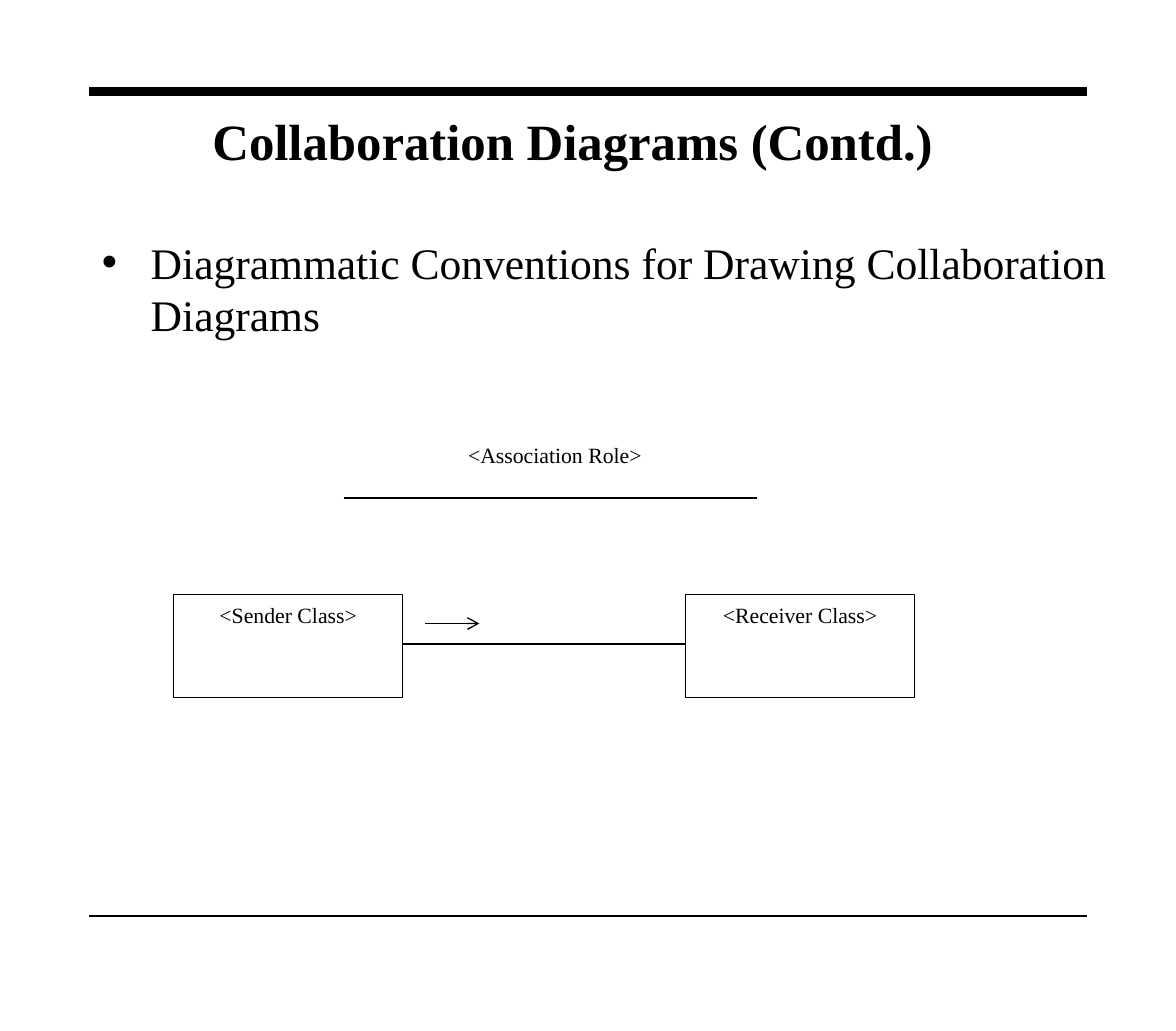
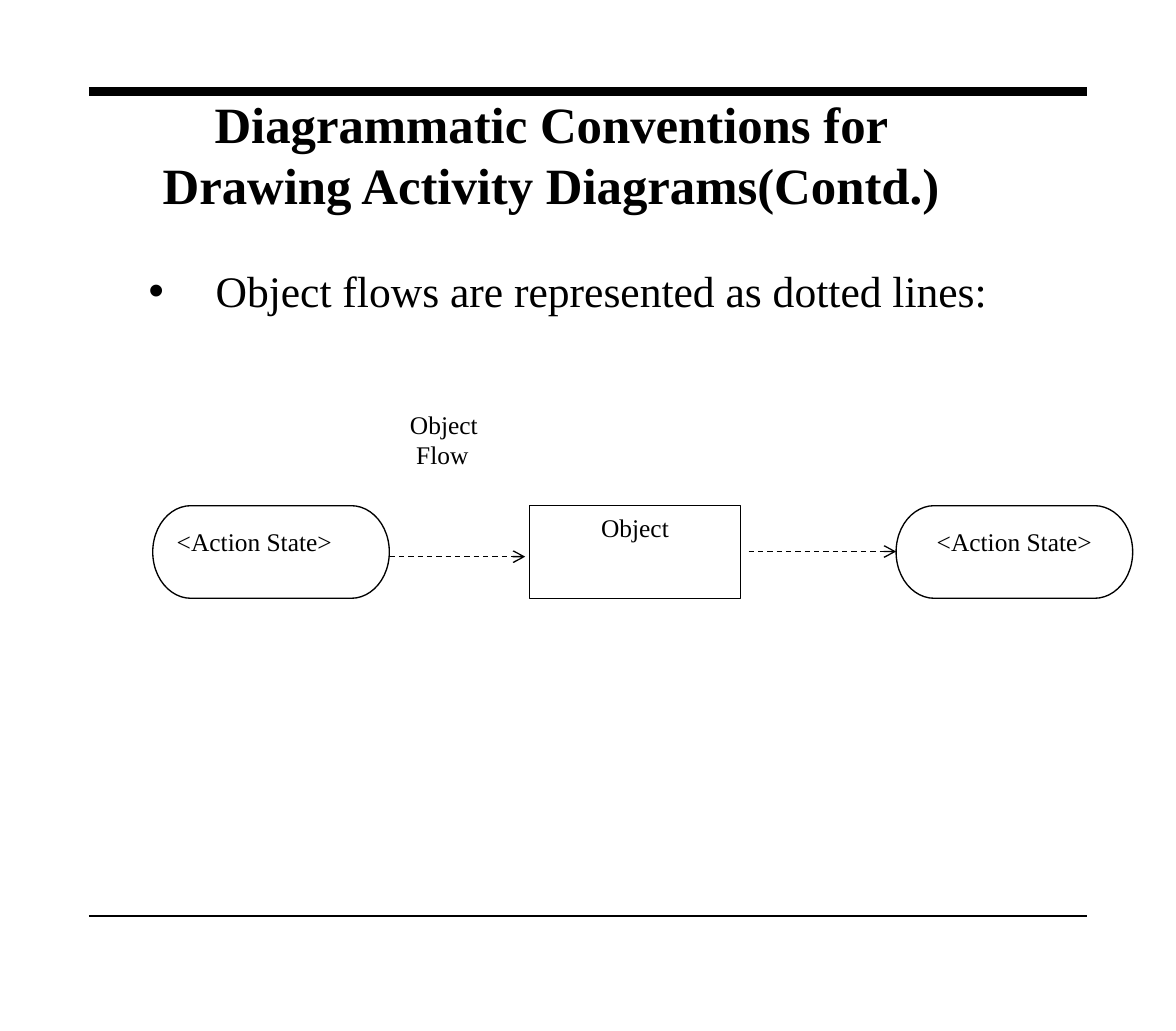
import collections
import lxml.etree
import pptx
import pptx.dml.color
import pptx.enum.dml
import pptx.enum.shapes
import pptx.enum.text
import pptx.oxml.ns
import pptx.util

Cm, Pt = pptx.util.Cm, pptx.util.Pt
qn = pptx.oxml.ns.qn
Kind = pptx.enum.shapes.MSO_SHAPE
Align = pptx.enum.text.PP_ALIGN
Anchor = pptx.enum.text.MSO_ANCHOR
Box = collections.namedtuple("Box", "left top width height")


# Colours and type sizes
class Theme:
    font = "Times New Roman"
    ink = pptx.dml.color.RGBColor(0, 0, 0)
    paper = pptx.dml.color.RGBColor(255, 255, 255)
    title, body, note, label = Pt(28), Pt(24), Pt(14), Pt(12)
    thin, rule, band = Pt(0.75), Pt(1), Pt(4.5)


def put(item, values):
    for name, value in values.items():
        setattr(item, name, value)


def inner(box, left, top, width, height):
    """Box given by its offset inside another box."""
    return Box(box.left + left, box.top + top, width, height)


def place(shape, box):
    put(shape, {name: Cm(size) for name, size in box._asdict().items()})


def write(shape, lines, size, align, anchor, bold=False):
    frame = shape.text_frame
    put(frame, {
        "text": "\n".join(lines),
        "word_wrap": True,
        "auto_size": pptx.enum.text.MSO_AUTO_SIZE.NONE,
        "vertical_anchor": anchor,
        "margin_left": Cm(0.25), "margin_right": Cm(0.25),
        "margin_top": Cm(0.13), "margin_bottom": Cm(0.13),
    })
    for para in frame.paragraphs:
        put(para, {"alignment": align, "space_before": Pt(0)})
        for run in para.runs:
            put(run.font, {"name": Theme.font, "size": size, "bold": bold})
            run.font.color.rgb = Theme.ink
    return frame.paragraphs


def indent(para, left, first=0):
    props = para._p.get_or_add_pPr()
    props.set("marL", str(Cm(left)))
    props.set("indent", str(Cm(first)))
    return props


def line(slide, start, end, width=Theme.thin, dash=False, arrow=False):
    item = slide.shapes.add_connector(
        pptx.enum.shapes.MSO_CONNECTOR.STRAIGHT,
        *(Cm(num) for num in (*start, *end)))
    item.line.width = width
    item.line.color.rgb = Theme.ink
    if dash:
        item.line.dash_style = pptx.enum.dml.MSO_LINE.DASH
    props = item.element.spPr
    if arrow:
        lxml.etree.SubElement(props.find(qn("a:ln")), qn("a:tailEnd"), type="arrow")
    lxml.etree.SubElement(props, qn("a:effectLst"))
    return item


def node(slide, box, lines, size, kind=Kind.RECTANGLE, edge=Theme.ink,
         align=Align.CENTER):
    item = slide.shapes.add_shape(kind, *(Cm(num) for num in box))
    item.shadow.inherit = False
    item.fill.solid()
    item.fill.fore_color.rgb = Theme.paper
    if edge is None:
        item.line.fill.background()
    else:
        item.line.color.rgb = edge
        item.line.width = Theme.thin
    return write(item, lines, size, align, Anchor.TOP)


# Rules shared by all slides, kept on the master
def frame(deck, slide, box):
    right, low = box.left + box.width, box.top + box.height
    for top, width in ((box.top, Theme.band), (low, Theme.rule)):
        rule = line(slide, (box.left, top), (right, top), width)
        deck.slide_master.shapes.element.append(rule.element)


def head(slide, box, text):
    place(slide.shapes.title, box)
    write(slide.shapes.title, [text], Theme.title, Align.CENTER, Anchor.MIDDLE, True)


def point(slide, box, text, left, hang):
    body = slide.placeholders[1]
    place(body, box)
    para = write(body, [text], Theme.body, Align.LEFT, Anchor.TOP)[0]
    props = indent(para, left, -hang)
    color = lxml.etree.SubElement(props, qn("a:buClr"))
    lxml.etree.SubElement(color, qn("a:srgbClr"), val=str(Theme.ink))
    lxml.etree.SubElement(props, qn("a:buChar"), char="•")


# Sender and receiver joined by a link, with the association role above
def roles(slide, box):
    def at(left, top):
        return box.left + left, box.top + top

    wide, high = 4.45, 2
    far, row = box.width - wide, box.height - high
    node(slide, inner(box, 3.18, 0, 8.46, 1.5), ["<Association Role>"],
         Theme.label, edge=None)
    line(slide, at(3.3, 1.22), at(11.33, 1.22))
    for left, text in ((0, "<Sender Class>"), (far, "<Receiver Class>")):
        node(slide, inner(box, left, row, wide, high), [text], Theme.label)
    line(slide, at(wide, 4.06), at(far, 4.06))
    line(slide, at(4.88, 3.66), at(5.94, 3.66), arrow=True)


# Object passed between two action states along dashed arrows
def flow(slide, box):
    def at(left, top):
        return box.left + left, box.top + top

    wide, high = 4.6, 1.8
    far, row = box.width - wide, box.height - high
    for left, align in ((0, Align.LEFT), (far, Align.CENTER)):
        node(slide, inner(box, left, row, wide, high), ["<Action State>"],
             Theme.note, Kind.FLOWCHART_TERMINATOR, align=align)
    node(slide, inner(box, 7.32, row, 4.11, high), ["Object"], Theme.note)
    for start, end, top in ((wide, 7.24, 3), (11.58, far, 2.9)):
        line(slide, at(start, top), at(end, top), dash=True, arrow=True)
    paras = node(slide, inner(box, 4.75, 0, 2.39, 1.9), ["Object", "Flow"],
                 Theme.note, edge=None, align=Align.LEFT)
    indent(paras[1], 0.12)


def main():
    deck = pptx.Presentation()
    put(deck, {"slide_width": Cm(22.86), "slide_height": Cm(20.04)})
    first, second = (deck.slides.add_slide(deck.slide_layouts[1]) for _ in range(2))
    frame(deck, first, Box(1.73, 1.78, 19.4, 16.03))

    # Collaboration diagrams
    head(first, Box(3.84, 2.03, 14.58, 1.37), "Collaboration Diagrams (Contd.)")
    point(first, Box(1.73, 4.45, 20.52, 13.36),
          "Diagrammatic Conventions for Drawing Collaboration Diagrams", 0.95, 0.95)
    roles(first, Box(3.38, 8.46, 14.4, 5.1))

    # Activity diagrams
    head(second, Box(2.57, 1.75, 16.28, 2.49),
         "Diagrammatic Conventions for Drawing Activity Diagrams(Contd.)")
    point(second, Box(2.34, 5, 20.19, 11.71),
          "Object flows are represented as dotted lines:", 1.6, 1.3)
    flow(second, Box(2.97, 7.82, 19.05, 3.81))

    deck.save("out.pptx")


if __name__ == "__main__":
    main()
